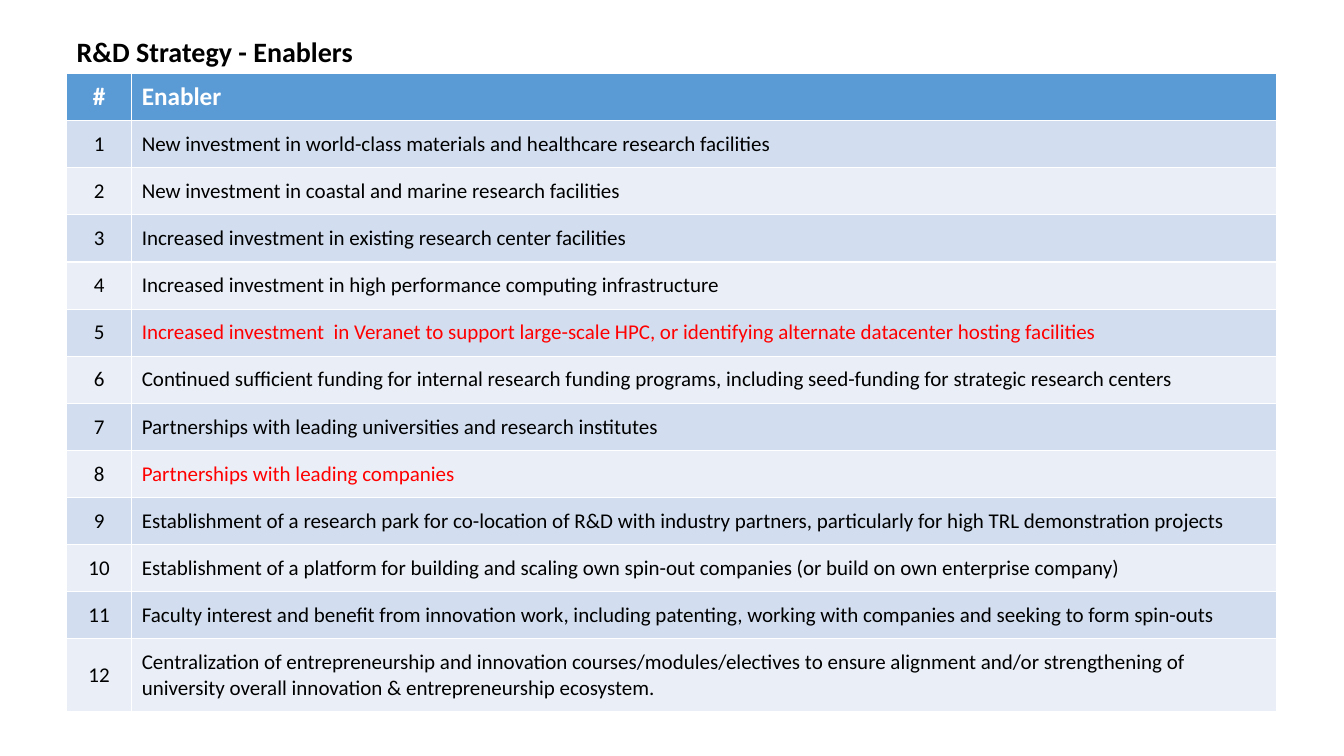
from dataclasses import dataclass

from pptx import Presentation
from pptx import util as u
from pptx.dml.color import RGBColor
from pptx.enum import text

COLORS = {
    "black": "000000",
    "white": "FFFFFF",
    "red": "FF0000",
    "header": "5B9BD5",
    "odd": "D2DEEF",
    "even": "EAEFF7",
}
FONT = "Calibri"
SLIDE_WIDTH, SLIDE_HEIGHT = u.Inches(13.33), u.Inches(7.5)


@dataclass(frozen=True)
class Enabler:
    wording: str
    color: str = "black"


@dataclass(frozen=True)
class Style:
    size: int
    color: str
    bold: bool = False
    align: text.PP_ALIGN = text.PP_ALIGN.LEFT


ENABLERS = [
    Enabler("New investment in world-class materials and healthcare research facilities"),
    Enabler("New investment in coastal and marine research facilities"),
    Enabler("Increased investment in existing research center facilities"),
    Enabler("Increased investment in high performance computing infrastructure"),
    Enabler("Increased investment  in Veranet to support large-scale HPC, or identifying "
            "alternate datacenter hosting facilities", "red"),
    Enabler("Continued sufficient funding for internal research funding programs, "
            "including seed-funding for strategic research centers"),
    Enabler("Partnerships with leading universities and research institutes"),
    Enabler("Partnerships with leading companies", "red"),
    Enabler("Establishment of a research park for co-location of R&D with industry partners, "
            "particularly for high TRL demonstration projects"),
    Enabler("Establishment of a platform for building and scaling own spin-out companies "
            "(or build on own enterprise company)"),
    Enabler("Faculty interest and benefit from innovation work, including patenting, "
            "working with companies and seeking to form spin-outs"),
    Enabler("Centralization of entrepreneurship and innovation courses/modules/electives to "
            "ensure alignment and/or strengthening of university overall innovation & "
            "entrepreneurship ecosystem."),
]


def across(percent: float) -> int:
    return round(SLIDE_WIDTH * percent / 100)


def down(percent: float) -> int:
    return round(SLIDE_HEIGHT * percent / 100)


LEFT, WIDTH = across(4.95), across(90)
TITLE_TOP, TITLE_HEIGHT = down(3.87), down(5.87)
TABLE_TOP, TABLE_HEIGHT = down(9.73), down(84.4)
NUMBER_WIDTH = across(4.85)
LAST_ROW_HEIGHT = down(9.6)


def write(frame, wording: str, style: Style) -> None:
    paragraph = frame.paragraphs[0]
    paragraph.alignment = style.align
    run = paragraph.add_run()
    run.text = wording
    run.font.name = FONT
    run.font.size = u.Pt(style.size)
    run.font.bold = style.bold
    run.font.color.rgb = RGBColor.from_string(COLORS[style.color])


def fill_row(table, row: int, number: str, enabler: Enabler, fill: str,
             size: int, number_color: str, bold: bool = False) -> None:
    styles = (Style(size, number_color, bold, text.PP_ALIGN.CENTER),
              Style(size, enabler.color, bold))
    for column, (wording, style) in enumerate(zip((number, enabler.wording), styles)):
        cell = table.cell(row, column)
        cell.fill.solid()
        cell.fill.fore_color.rgb = RGBColor.from_string(COLORS[fill])
        cell.vertical_anchor = text.MSO_ANCHOR.MIDDLE
        write(cell.text_frame, wording, style)


def add_title(slide) -> None:
    title = slide.shapes.title
    title.left, title.top, title.width, title.height = LEFT, TITLE_TOP, WIDTH, TITLE_HEIGHT
    frame = title.text_frame
    frame.word_wrap = True
    frame.auto_size = text.MSO_AUTO_SIZE.NONE
    frame.vertical_anchor = text.MSO_ANCHOR.TOP
    write(frame, "R&D Strategy - Enablers", Style(20, "black", bold=True))


def add_enabler_table(slide) -> None:
    table = slide.shapes.add_table(
        len(ENABLERS) + 1, 2, LEFT, TABLE_TOP, WIDTH, TABLE_HEIGHT).table
    table.columns[0].width = NUMBER_WIDTH
    table.columns[1].width = WIDTH - NUMBER_WIDTH

    row_height = (TABLE_HEIGHT - LAST_ROW_HEIGHT) // len(ENABLERS)
    for row in table.rows:
        row.height = row_height
    table.rows[len(ENABLERS)].height = LAST_ROW_HEIGHT

    fill_row(table, 0, "#", Enabler("Enabler", "white"), "header", 18, "white", bold=True)
    for number, enabler in enumerate(ENABLERS, start=1):
        band = "odd" if number % 2 else "even"
        fill_row(table, number, str(number), enabler, band, 15, "black")


def main() -> None:
    deck = Presentation()
    deck.slide_width, deck.slide_height = SLIDE_WIDTH, SLIDE_HEIGHT
    slide = deck.slides.add_slide(deck.slide_layouts[5])
    add_title(slide)
    add_enabler_table(slide)
    deck.save("out.pptx")


if __name__ == "__main__":
    main()
